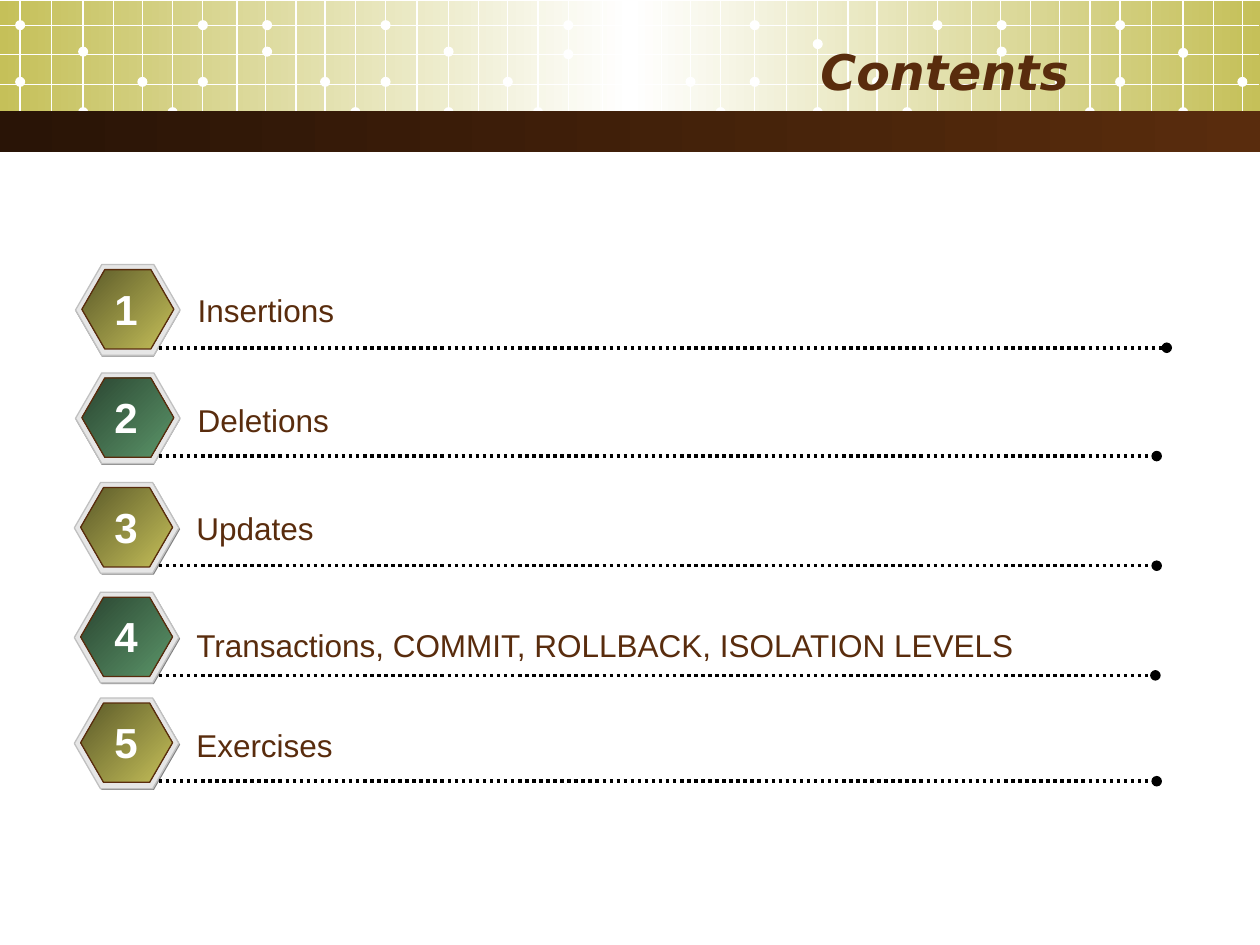
from copy import deepcopy
from pptx import Presentation
from pptx.dml.color import RGBColor
from pptx.enum.dml import MSO_LINE
from pptx.enum.shapes import MSO_CONNECTOR, MSO_SHAPE
from pptx.enum.text import MSO_ANCHOR, PP_ALIGN
from pptx.oxml.ns import qn
from pptx.oxml.xmlchemy import OxmlElement
from pptx.util import Inches, Pt

HUE = {
    "white": "FFFFFF", "black": "000000", "brown": "592C0D", "dark": "291406",
    "gold": "C5C059", "olive": "5B5929", "green": "5B9569", "pine": "2A4531",
    "gray": "808080", "pale": "E6E6E6", "edge": "C0C0C0",
}
RGB = {name: RGBColor.from_string(code) for name, code in HUE.items()}

deck = Presentation()
deck.slide_width, deck.slide_height = Inches(10), Inches(7.5)
slide = deck.slides.add_slide(deck.slide_layouts[6])


def put(kind, box, fills, edge=None, angle=0):
    """Add a shape; several fill names make an evenly spaced gradient."""
    shape = slide.shapes.add_shape(kind, *[Inches(v) for v in box])
    shape.shadow.inherit = False
    if len(fills) == 1:
        shape.fill.solid()
        shape.fill.fore_color.rgb = RGB[fills[0]]
    else:
        shape.fill.gradient()
        shape.fill.gradient_angle = angle
        stops = shape._element.spPr.find(".//" + qn("a:gsLst"))
        for _ in fills[2:]:
            stops.append(deepcopy(stops[0]))
        for i, stop in enumerate(shape.fill.gradient_stops):
            stop.position = i / (len(fills) - 1)
            stop.color.rgb = RGB[fills[i]]
    if edge:
        shape.line.color.rgb = RGB[edge]
        shape.line.width = Pt(0.75)
    else:
        shape.line.fill.background()
    if kind == MSO_SHAPE.HEXAGON:
        shape.adjustments[0] = 0.289


def rule(x1, y1, x2, y2, hue, width):
    """Add a straight line without shadow."""
    line = slide.shapes.add_connector(
        MSO_CONNECTOR.STRAIGHT, *[Inches(v) for v in (x1, y1, x2, y2)])
    line.line.color.rgb = RGB[hue]
    line.line.width = Pt(width)
    line._element.spPr.append(OxmlElement("a:effectLst"))
    return line


# Header band
put(MSO_SHAPE.RECTANGLE, (0, 0.01, 10, 1.02), ["gold", "white", "gold"])

# Grid tiles: start, then the heights of the two dots that vary
cols = [0, 0.25, 0.5, 0.74, 0.97, 1.21, 1.45, 1.72, 1.95, 2.19, 2.42, 2.66]
for start, low, high in [(0.16, 0.37, 0.61), (3.06, 0.37, 0.39),
                         (5.99, 0.31, 0.47), (8.89, 0.38, 0.61)]:
    dots = [(0, 0.61), (0, 0.16), (0.5, low), (0.5, 0.85), (0.97, 0.61),
            (1.21, 0.85), (1.45, high), (1.45, 0.16), (1.96, 0.37),
            (1.96, 0.16), (2.42, 0.61), (2.66, 0.85)]
    for dx, y in dots:
        if start + dx < 9.9:
            put(MSO_SHAPE.OVAL, (start + dx - 0.04, y, 0.08, 0.08), ["white"])
    for dx in cols:
        if start + dx < 9.9:
            rule(start + dx, 0, start + dx, 1.1, "white", 0.75)
for y in (0.2, 0.43, 0.67, 0.89):
    rule(0, y, 9.99, y, "white", 0.75)

# Brown strip
put(MSO_SHAPE.RECTANGLE, (0, 0.88, 10, 0.33), ["dark", "brown"])

# Text formats
head = {"size": Pt(28), "name": "DejaVu Sans", "bold": True, "italic": True}
body = {"size": Pt(18), "name": "Arial"}
mark = {"size": Pt(24), "name": "Arial", "bold": True}
texts = [("Contents", (0.5, 0.25, 8.08, 0.62), head, "brown", PP_ALIGN.RIGHT)]

# Agenda rows: label, hexagon left and top, label drop and width, line end
rows = [
    ("Insertions", 0.6, 2.1, 0.16, 5.31, 9.26),
    ("Deletions", 0.6, 2.96, 0.17, 6.44, 9.18),
    ("Updates", 0.59, 3.83, 0.16, 7.64, 9.18),
    ("Transactions, COMMIT, ROLLBACK, ISOLATION LEVELS",
     0.59, 4.7, 0.22, 8.18, 9.17),
    ("Exercises", 0.59, 5.54, 0.17, 7.64, 9.18),
]
for i, (label, x, y, drop, wide, end) in enumerate(rows):
    tint = ["pine", "green"] if i % 2 else ["olive", "gold"]
    put(MSO_SHAPE.HEXAGON, (0.6, y + 0.01, 0.83, 0.72), ["gray"])
    put(MSO_SHAPE.HEXAGON, (x, y, 0.83, 0.72), ["pale"], "edge")
    put(MSO_SHAPE.HEXAGON, (x + 0.05, y + 0.04, 0.73, 0.63), tint, "brown", 315)
    line = rule(1.26, y + 0.66, end, y + 0.66, "black", 2)
    line.line.dash_style = MSO_LINE.ROUND_DOT
    tail = OxmlElement("a:tailEnd")
    tail.set("type", "oval")
    line.line._get_or_add_ln().append(tail)
    texts += [
        (label, (x + 0.87, y + drop, wide, 0.4), body, "brown", PP_ALIGN.LEFT),
        (str(i + 1), (0.81, y + 0.1, 0.38, 0.5), mark, "white", PP_ALIGN.CENTER),
    ]

# Title, labels and numbers
for words, box, form, hue, align in texts:
    frame = slide.shapes.add_textbox(*[Inches(v) for v in box]).text_frame
    frame.word_wrap = form is not mark
    frame.vertical_anchor = MSO_ANCHOR.MIDDLE if form is head else MSO_ANCHOR.TOP
    para = frame.paragraphs[0]
    para.alignment = align
    run = para.add_run()
    run.text = words
    run.font.color.rgb = RGB[hue]
    for key, value in form.items():
        setattr(run.font, key, value)

deck.save("out.pptx")
